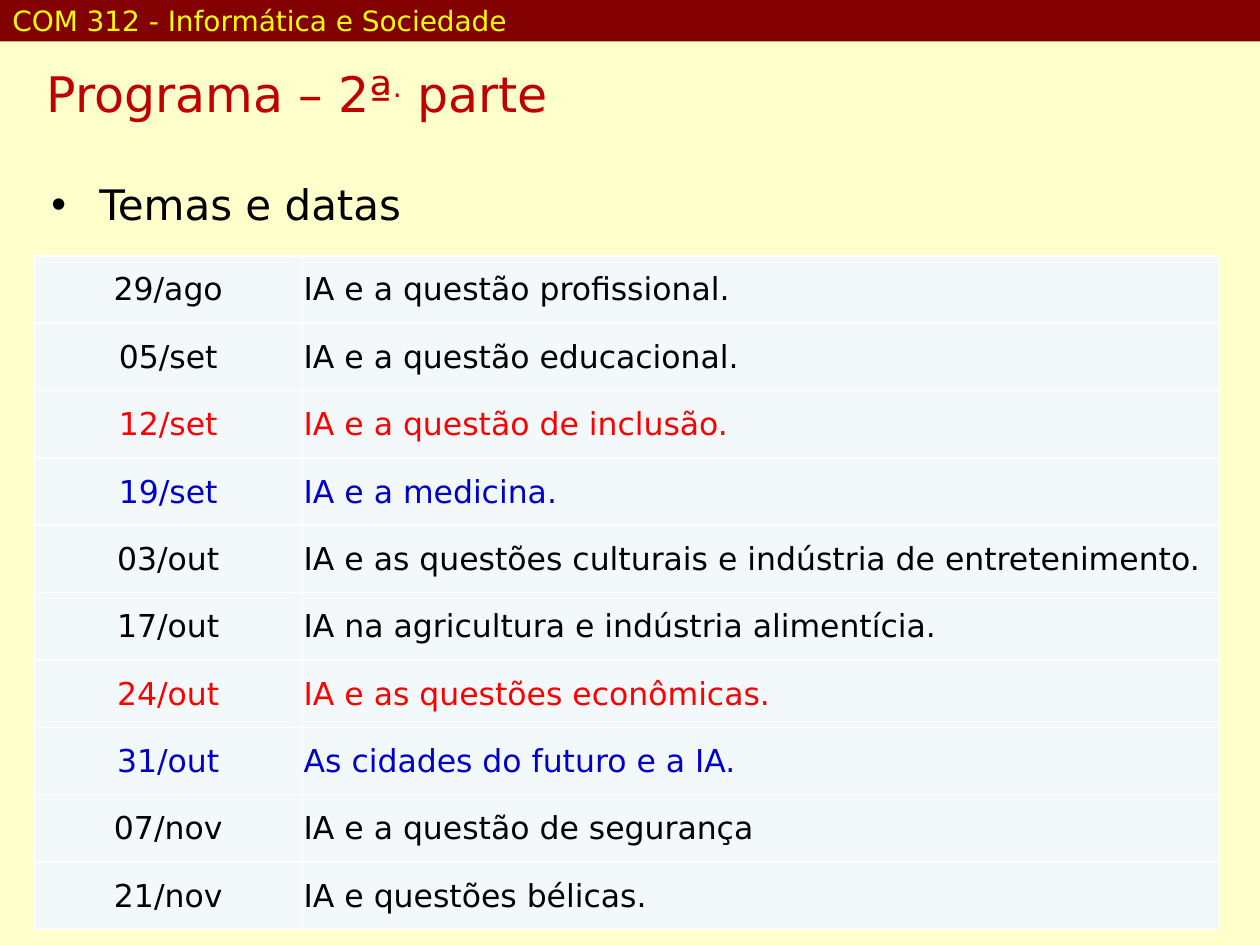
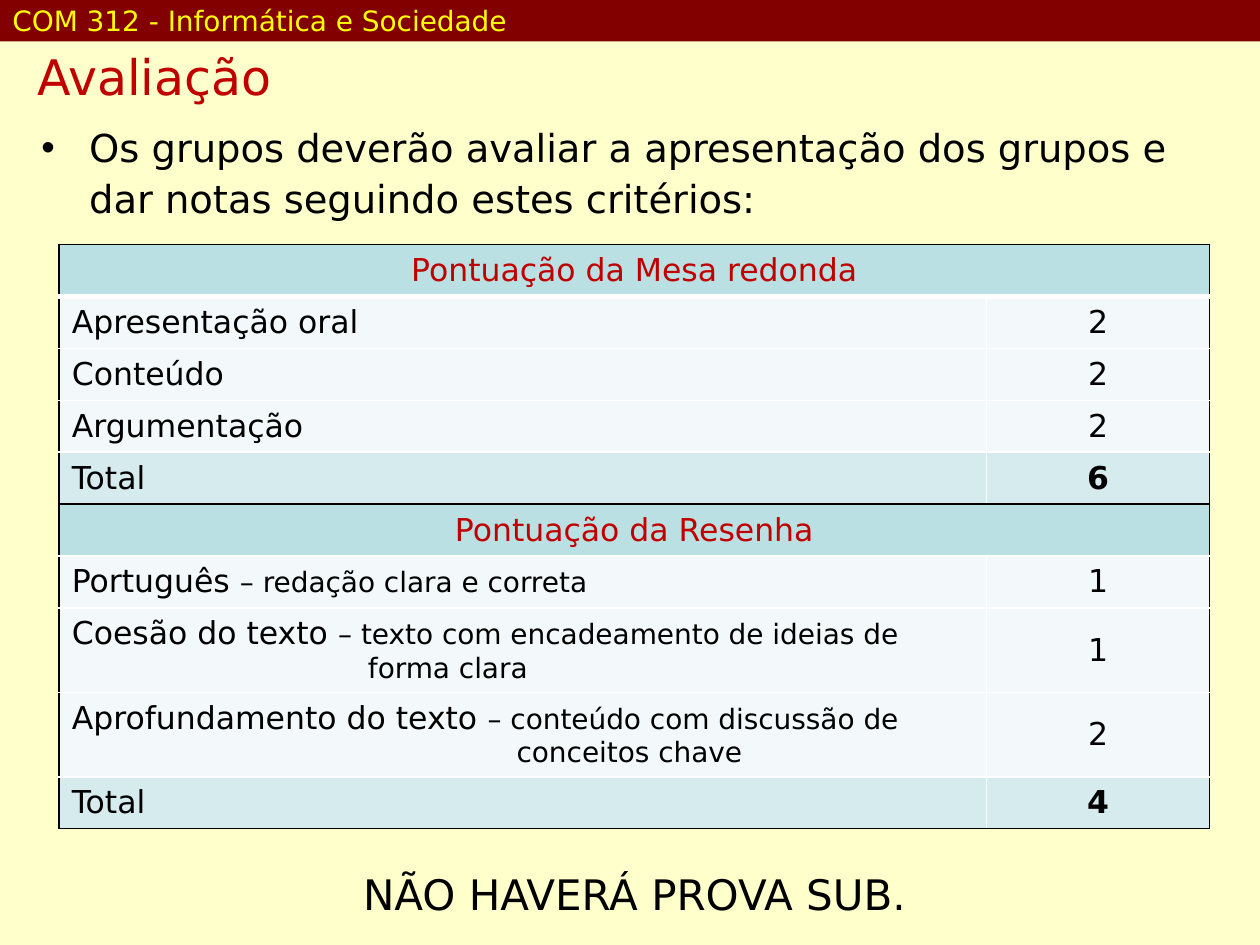
"""Builds the programme and assessment slides of the course."""
from lxml.etree import SubElement
from pptx import Presentation
from pptx.dml.color import RGBColor
from pptx.enum.shapes import MSO_SHAPE
from pptx.enum.text import MSO_ANCHOR, MSO_AUTO_SIZE, PP_ALIGN
from pptx.oxml.ns import qn
from pptx.util import Inches, Pt

COURSE = "COM 312 - Informática e Sociedade"
PROGRAM_TITLE = [("Programa – 2ª", {}), (".", {"baseline": 30}), (" parte", {})]
PROGRAM_LEAD = "Temas e datas"
TOPICS = [
    ("29/ago", "IA e a questão profissional.", "black"),
    ("05/set", "IA e a questão educacional.", "black"),
    ("12/set", "IA e a questão de inclusão.", "red"),
    ("19/set", "IA e a medicina.", "blue"),
    ("03/out", "IA e as questões culturais e indústria de entretenimento.", "black"),
    ("17/out", "IA na agricultura e indústria alimentícia.", "black"),
    ("24/out", "IA e as questões econômicas.", "red"),
    ("31/out", "As cidades do futuro e a IA.", "blue"),
    ("07/nov", "IA e a questão de segurança", "black"),
    ("21/nov", "IA e questões bélicas.", "black"),
]
GRADING_TITLE = [("Avaliação", {})]
GRADING_LEAD = ("Os grupos deverão avaliar a apresentação dos grupos e dar notas "
                "seguindo estes critérios:")
GRADING_NOTE = "NÃO HAVERÁ PROVA SUB."
CRITERIA = [
    {"kind": "header", "name": "Pontuação da Mesa redonda", "rule": 3},
    {"kind": "item", "name": "Apresentação oral", "points": "2"},
    {"kind": "item", "name": "Conteúdo", "points": "2"},
    {"kind": "item", "name": "Argumentação", "points": "2"},
    {"kind": "total", "name": "Total", "points": "6"},
    {"kind": "header", "name": "Pontuação da Resenha"},
    {"kind": "item", "name": "Português ", "points": "1",
     "detail": "– redação clara e correta"},
    {"kind": "item", "name": "Coesão do texto ", "points": "1", "hang": 2.35,
     "detail": "– texto com encadeamento de ideias de forma clara"},
    {"kind": "item", "name": "Aprofundamento do texto ", "points": "2", "hang": 3.53,
     "detail": "– conteúdo com discussão de conceitos chave"},
    {"kind": "total", "name": "Total", "points": "4"},
]

FONT = "DejaVu Sans"
COLORS = {"page": "FFFFCC", "band": "820000", "course": "FFFF00", "title": "C00000",
          "black": "000000", "white": "FFFFFF", "red": "FF0000", "blue": "0000CC",
          "item": "F3F9FA", "total": "D6EBEE", "header": "BBE0E3"}
SIDES = {"left": "a:lnL", "right": "a:lnR", "top": "a:lnT", "bottom": "a:lnB"}
CELL_INSETS = (0.1, 0.05, 0.1, 0.05)
TALL_ROW = 0.67


def color(name):
    """Return the named colour."""
    return RGBColor.from_string(COLORS[name])


def paint(fill, name):
    """Make a fill solid in the named colour."""
    fill.solid()
    fill.fore_color.rgb = color(name)


def apply(target, values):
    """Set attributes from a dict of values."""
    for name, value in values.items():
        setattr(target, name, value)


def write(para, spans, size, ink="black", align=PP_ALIGN.LEFT):
    """Fill a paragraph with (text, changes) spans."""
    para.alignment = align
    for text, changes in spans:
        span = para.add_run()
        span.text = text
        apply(span.font, {"name": FONT, "size": Pt(changes.get("size", size)),
                          "bold": changes.get("bold", False)})
        span.font.color.rgb = color(ink)
        if "baseline" in changes:
            span.font._element.set("baseline", str(changes["baseline"] * 1000))


def hang(para, indent, bullet=None):
    """Give a paragraph a hanging indent and maybe a bullet."""
    properties = para._p.get_or_add_pPr()
    properties.set("marL", str(Inches(indent)))
    properties.set("indent", str(-Inches(indent)))
    if bullet:
        SubElement(properties, qn("a:buFont"), typeface="Arial")
        SubElement(properties, qn("a:buChar"), char=bullet)


def set_frame(frame, insets, anchor=MSO_ANCHOR.TOP):
    """Set insets, anchor and wrapping of a text frame."""
    names = ("margin_left", "margin_top", "margin_right", "margin_bottom")
    apply(frame, dict(zip(names, map(Inches, insets))))
    apply(frame, {"vertical_anchor": anchor, "word_wrap": True,
                  "auto_size": MSO_AUTO_SIZE.NONE})


def add_page(deck, title, left, top):
    """Add a slide with background, course band and title."""
    page = deck.slides.add_slide(deck.slide_layouts[5])
    paint(page.background.fill, "page")
    band = page.shapes.add_shape(MSO_SHAPE.RECTANGLE, 0, 0, deck.slide_width, Inches(0.33))
    band.shadow.inherit = False
    paint(band.fill, "band")
    band.line.fill.background()
    set_frame(band.text_frame, (0.1, 0, 0.1, 0), MSO_ANCHOR.MIDDLE)
    write(band.text_frame.paragraphs[0], [(COURSE, {})], 16, "course")
    heading = page.shapes.title
    apply(heading, {"left": Inches(left), "top": Inches(top),
                    "width": Inches(5.75), "height": Inches(0.57)})
    set_frame(heading.text_frame, CELL_INSETS)
    write(heading.text_frame.paragraphs[0], title, 28, "title")
    return page


def add_text(page, place, text, size, inset_top, align=PP_ALIGN.LEFT):
    """Add a text box and return its paragraph."""
    box = page.shapes.add_textbox(*map(Inches, place))
    set_frame(box.text_frame, (0.1, inset_top, 0.1, 0.05))
    para = box.text_frame.paragraphs[0]
    write(para, [(text, {})], size, align=align)
    return para


def add_grid(page, place, widths, heights):
    """Add a plain table with the given column widths and row heights."""
    table = page.shapes.add_table(len(heights), len(widths), *map(Inches, place)).table
    apply(table, {"first_row": False, "horz_banding": False})
    for column, width in zip(table.columns, widths):
        column.width = Inches(width)
    for row, height in zip(table.rows, heights):
        row.height = Inches(height)
    return table


def style_cell(cell, fill, insets, borders=None):
    """Set a cell's borders (white, 1 pt unless given), fill and insets."""
    properties = cell._tc.get_or_add_tcPr()
    for side, tag in SIDES.items():
        ink, width = (borders or {}).get(side, ("white", 1))
        line = SubElement(properties, qn(tag), w=str(Pt(width)))
        SubElement(SubElement(line, qn("a:solidFill")), qn("a:srgbClr"), val=COLORS[ink])
    paint(cell.fill, fill)
    names = ("margin_left", "margin_top", "margin_right", "margin_bottom")
    apply(cell, dict(zip(names, map(Inches, insets))))
    cell.vertical_anchor = MSO_ANCHOR.MIDDLE


def criterion_borders(criterion, column):
    """Return the borders that differ from thin white lines."""
    black = ("black", 1)
    kind = criterion["kind"]
    borders = {}
    if column == 0 or kind == "header":
        borders["left"] = black
    if column == 1 or kind == "header":
        borders["right"] = black
    if kind == "header":
        borders.update(top=black, bottom=("white", criterion.get("rule", 1)))
    if kind == "total":
        borders["bottom"] = black
    return borders


def build_program(deck):
    """Build the slide of themes and dates."""
    page = add_page(deck, PROGRAM_TITLE, 0.27, 0.45)
    hang(add_text(page, (0.31, 1.17, 9.29, 0.71), PROGRAM_LEAD, 24, 0.25), 0.38, "•")
    height = 5.35
    table = add_grid(page, (0.27, 2.03, 9.41, height), (2.13, 7.28),
                     [height / len(TOPICS)] * len(TOPICS))
    for row, (date, topic, ink) in enumerate(TOPICS):
        for column, (text, align) in enumerate([(date, PP_ALIGN.CENTER),
                                                (topic, PP_ALIGN.LEFT)]):
            cell = table.cell(row, column)
            style_cell(cell, "item", (0.01, 0.01, 0.01, 0))
            write(cell.text_frame.paragraphs[0], [(text, {})], 18, ink, align)


def build_grading(deck):
    """Build the slide of assessment criteria."""
    page = add_page(deck, GRADING_TITLE, 0.2, 0.32)
    lead = add_text(page, (0.23, 0.83, 9.37, 1.11), GRADING_LEAD, 22, 0.12)
    lead.line_spacing = 1.1
    hang(lead, 0.38, "•")
    add_text(page, (0.39, 6.77, 9.29, 0.58), GRADING_NOTE, 24, 0.12, PP_ALIGN.CENTER)
    height = 4.64
    tall = sum("hang" in criterion for criterion in CRITERIA)
    short_row = (height - tall * TALL_ROW) / (len(CRITERIA) - tall)
    table = add_grid(page, (0.47, 1.94, 9.13, height), (7.36, 1.77),
                     [TALL_ROW if "hang" in criterion else short_row
                      for criterion in CRITERIA])
    for row, criterion in enumerate(CRITERIA):
        kind = criterion["kind"]
        cells = [table.cell(row, column) for column in range(2)]
        for column, cell in enumerate(cells):
            style_cell(cell, kind, CELL_INSETS, criterion_borders(criterion, column))
        name, points = (cell.text_frame.paragraphs[0] for cell in cells)
        spans = [(criterion["name"], {})]
        if kind == "header":
            cells[0].merge(cells[1])
            write(name, spans, 18, "title", PP_ALIGN.CENTER)
            continue
        if "detail" in criterion:
            spans.append((criterion["detail"], {"size": 16}))
        write(name, spans, 18)
        if "hang" in criterion:
            hang(name, criterion["hang"])
        write(points, [(criterion["points"], {"bold": kind == "total"})], 18,
              align=PP_ALIGN.CENTER)


def main():
    """Build and save the deck."""
    deck = Presentation()
    apply(deck, {"slide_width": Inches(10), "slide_height": Inches(7.5)})
    build_program(deck)
    build_grading(deck)
    deck.save("out.pptx")


if __name__ == "__main__":
    main()
